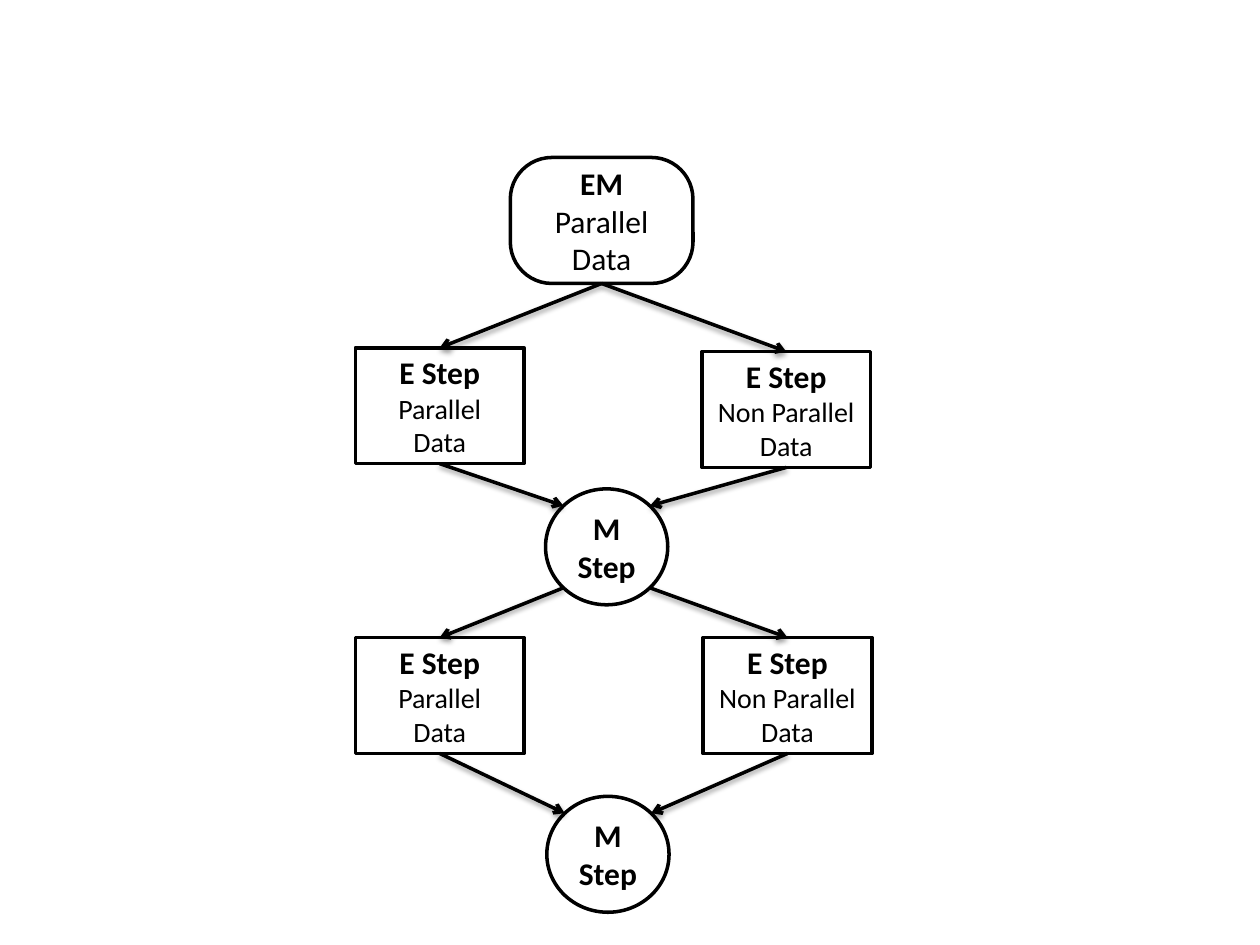
from dataclasses import dataclass

from lxml import etree
from pptx import Presentation
from pptx import util as u
from pptx.dml.color import RGBColor
from pptx.enum import shapes, text
from pptx.oxml import parse_xml
from pptx.oxml.ns import nsdecls, qn

WIDE, HIGH = 10, 7.5
FONT = "Calibri"
INK = {"line": "000000", "fill": "FFFFFF"}
KIND = shapes.MSO_SHAPE

# Connection sites as shares of a shape's width and height
TOP, BASE = 0, 2
NW, SW, SE, NE = 1, 3, 5, 7  # on the circle's diagonals
LOW, FAR = 0.146, 0.854
SITES = {TOP: (0.5, 0), BASE: (0.5, 1),
         NW: (LOW, LOW), SW: (LOW, FAR), SE: (FAR, FAR), NE: (FAR, LOW)}


@dataclass
class Style:
    kind: int
    wide: float
    high: float
    head: int  # lines in bold
    size: int  # text size of the plain lines


@dataclass
class Node:
    style: Style
    left: float
    top: float
    lines: str


@dataclass
class Link:
    start: str
    out: int
    end: str
    into: int


ROOT = Style(KIND.ROUNDED_RECTANGLE, 1.45, 1, 1, 18)
BOX = Style(KIND.RECTANGLE, 1.34, 0.92, 1, 16)
RING = Style(KIND.OVAL, 0.97, 0.92, 2, 18)

PAIR = "E Step\nParallel\nData"
LONE = "E Step\nNon Parallel\nData"
STEP = "M\nStep"

NODES = {
    "em": Node(ROOT, 4.05, 1.25, "EM\nParallel\nData"),
    "pair1": Node(BOX, 2.82, 2.76, PAIR),
    "lone1": Node(BOX, 5.57, 2.79, LONE),
    "step1": Node(RING, 4.33, 3.88, STEP),
    "pair2": Node(BOX, 2.82, 5.06, PAIR),
    "lone2": Node(BOX, 5.58, 5.06, LONE),
    "step2": Node(RING, 4.34, 6.32, STEP),
}

# Each round fans out to two E steps and joins in one M step
LINKS = []
for turn, (source, left, right) in enumerate(
        [("em", BASE, BASE), ("step1", SW, SE)], 1):
    LINKS += [
        Link(source, left, f"pair{turn}", TOP),
        Link(source, right, f"lone{turn}", TOP),
        Link(f"pair{turn}", BASE, f"step{turn}", NW),
        Link(f"lone{turn}", BASE, f"step{turn}", NE),
    ]


def tint(name: str) -> RGBColor:
    return RGBColor.from_string(INK[name])


def draw_node(slide, node: Node):
    style = node.style
    shape = slide.shapes.add_shape(
        style.kind, *map(u.Inches, (node.left, node.top, style.wide, style.high)))
    shape.shadow.inherit = False
    shape.fill.solid()
    shape.fill.fore_color.rgb = tint("fill")
    shape.line.color.rgb = tint("line")
    shape.line.width = u.Pt(2)
    if style is ROOT:
        shape.adjustments[0] = 0.33
    frame = shape.text_frame
    frame.text = node.lines
    frame.word_wrap = True
    frame.margin_left = frame.margin_right = 0
    frame.vertical_anchor = text.MSO_ANCHOR.MIDDLE
    for row, para in enumerate(frame.paragraphs):
        para.alignment = text.PP_ALIGN.CENTER
        font = para.runs[0].font
        font.name = FONT
        font.bold = row < style.head
        font.size = u.Pt(18 if font.bold else style.size)
        font.color.rgb = tint("line")
    return shape


def spot(shape, site: int) -> tuple[int, int]:
    across, down = SITES[site]
    return (int(shape.left + across * shape.width),
            int(shape.top + down * shape.height))


def draw_link(slide, link: Link, drawn: dict) -> None:
    start, end = drawn[link.start], drawn[link.end]
    line = slide.shapes.add_connector(
        shapes.MSO_CONNECTOR.STRAIGHT, *spot(start, link.out), *spot(end, link.into))
    if link.out in (TOP, BASE):
        line.begin_connect(start, link.out)
    if link.into in (TOP, BASE):
        line.end_connect(end, link.into)
    line.line.color.rgb = tint("line")
    line.line.width = u.Pt(2)
    # Arrowhead and soft shadow below
    props = line._element.spPr
    etree.SubElement(props.find(qn("a:ln")), qn("a:tailEnd"), type="arrow")
    props.append(parse_xml(
        f'<a:effectLst {nsdecls("a")}><a:outerShdw blurRad="{u.Pt(3.1)}" '
        f'dist="{u.Pt(1.6)}" dir="5400000" rotWithShape="0">'
        f'<a:srgbClr val="{INK["line"]}"><a:alpha val="38000"/></a:srgbClr>'
        '</a:outerShdw></a:effectLst>'))


# Build the slide
deck = Presentation()
deck.slide_width, deck.slide_height = u.Inches(WIDE), u.Inches(HIGH)
slide = deck.slides.add_slide(deck.slide_layouts[6])
drawn = {name: draw_node(slide, node) for name, node in NODES.items()}
for link in LINKS:
    draw_link(slide, link, drawn)
deck.save("out.pptx")
